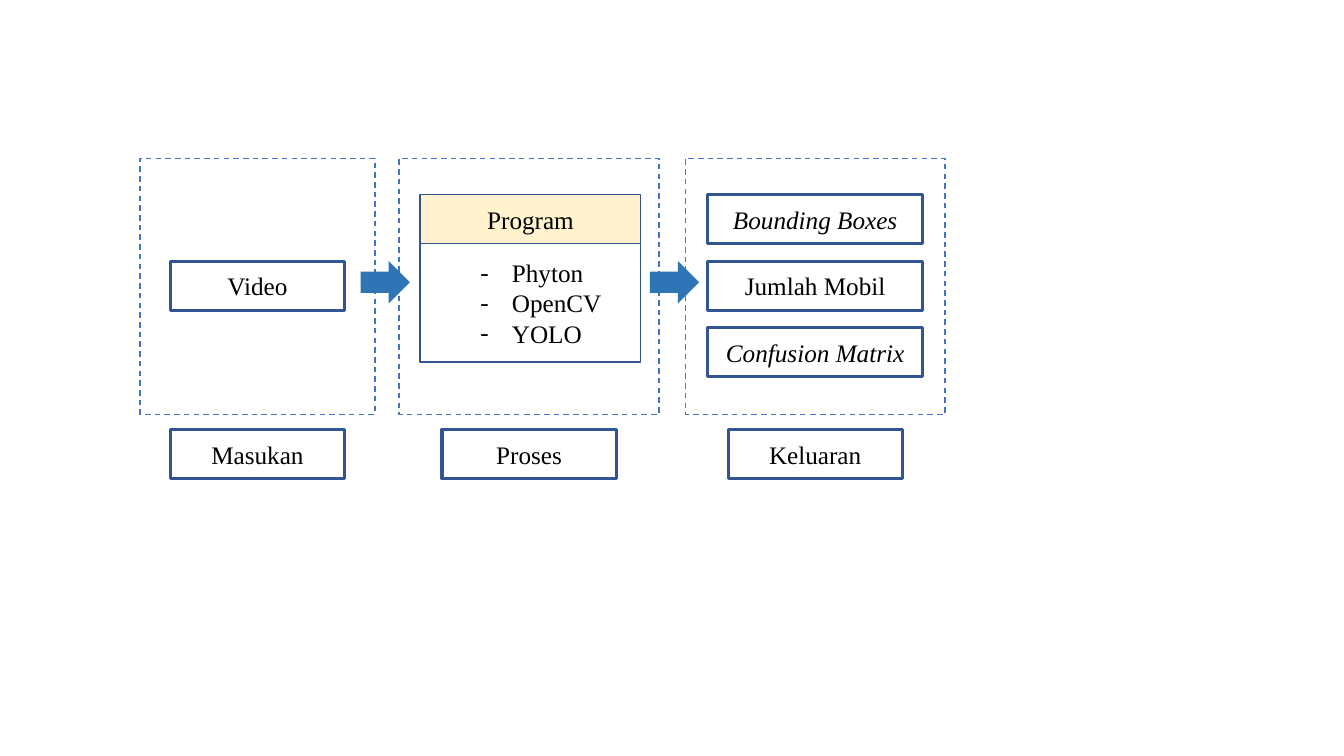
from pptx import Presentation
from pptx.dml.color import RGBColor
from pptx.enum.dml import MSO_LINE
from pptx.enum.shapes import MSO_SHAPE
from pptx.enum.text import MSO_ANCHOR, PP_ALIGN
from pptx.oxml.ns import qn
from pptx.util import Cm, Pt
from lxml.etree import SubElement

NAVY = "325491"
BLUE = "4472C4"
ARROW_BLUE = "2E75B6"
CREAM = "FFF2CC"
WHITE = "FFFFFF"
BLACK = "000000"

PANEL_TOP, PANEL_HEIGHT = 3.99, 6.45
BOX_HEIGHT, ROW_PITCH, FIRST_ROW = 1.24, 1.68, 0.91
LABEL_WIDTH, LABEL_OFFSET = 4.39, 6.83


def color(hex_string):
    return RGBColor.from_string(hex_string)


def add_block(slide, box, fill=None, line=None, width=2.25, kind=MSO_SHAPE.RECTANGLE):
    shape = slide.shapes.add_shape(kind, *[Cm(length) for length in box])
    shape.shadow.inherit = False
    if fill:
        shape.fill.solid()
        shape.fill.fore_color.rgb = color(fill)
    else:
        shape.fill.background()
    if line:
        shape.line.color.rgb = color(line)
        shape.line.width = Pt(width)
    else:
        shape.line.fill.background()
    return shape


def write(shape, lines, bullets=False, italic=False):
    frame = shape.text_frame
    frame.word_wrap = True
    frame.vertical_anchor = MSO_ANCHOR.MIDDLE
    font_format = {"name": "Times New Roman", "size": Pt(18), "italic": italic}
    for index, text in enumerate(lines):
        paragraph = frame.add_paragraph() if index else frame.paragraphs[0]
        paragraph.alignment = PP_ALIGN.LEFT if bullets else PP_ALIGN.CENTER
        run = paragraph.add_run()
        run.text = text
        for name, value in font_format.items():
            setattr(run.font, name, value)
        run.font.color.rgb = color(BLACK)
        if bullets:
            paragraph.level = 1
            properties = paragraph._p.get_or_add_pPr()
            properties.set("marL", str(Cm(2.06)))
            properties.set("indent", str(-Cm(0.79)))
            SubElement(properties, qn("a:buFont"), typeface="Times New Roman")
            SubElement(properties, qn("a:buChar"), char="-")


def add_centered_box(slide, panel, offset, width, text, italic=False):
    left, top, panel_width, _ = panel
    box = (left + (panel_width - width) / 2, top + offset, width, BOX_HEIGHT)
    write(add_block(slide, box, line=NAVY), [text], italic=italic)


def add_panel(slide, panel, label):
    shape = add_block(slide, panel, line=BLUE, width=1)
    shape.line.dash_style = MSO_LINE.DASH
    add_centered_box(slide, panel, LABEL_OFFSET, LABEL_WIDTH, label)


def add_input(slide, panel):
    add_panel(slide, panel, "Masukan")
    add_centered_box(slide, panel, FIRST_ROW + ROW_PITCH, LABEL_WIDTH, "Video")


def add_process(slide, panel):
    add_panel(slide, panel, "Proses")
    left, top, width = panel[0] + 0.53, panel[1] + FIRST_ROW, 5.56
    header = add_block(slide, (left, top, width, BOX_HEIGHT), CREAM, NAVY, 1)
    write(header, ["Program"])
    body = add_block(slide, (left, top + BOX_HEIGHT, width, 2.98), WHITE, NAVY, 1)
    write(body, ["Phyton", "OpenCV", "YOLO"], bullets=True)


def add_output(slide, panel):
    add_panel(slide, panel, "Keluaran")
    results = [("Bounding Boxes", True), ("Jumlah Mobil", False), ("Confusion Matrix", True)]
    for row, (text, italic) in enumerate(results):
        add_centered_box(slide, panel, FIRST_ROW + row * ROW_PITCH, 5.41, text, italic)


def add_arrow(slide, panel, overhang):
    box = (panel[0] - overhang, panel[1] + FIRST_ROW + ROW_PITCH, 1.24, 1.07)
    add_block(slide, box, fill=ARROW_BLUE, kind=MSO_SHAPE.RIGHT_ARROW)


def main():
    presentation = Presentation()
    presentation.slide_width = Cm(33.87)
    presentation.slide_height = Cm(19.05)
    slide = presentation.slides.add_slide(presentation.slide_layouts[6])
    input_panel, process_panel, output_panel = [
        (left, PANEL_TOP, width, PANEL_HEIGHT)
        for left, width in [(3.53, 5.92), (10.06, 6.55), (17.27, 6.55)]
    ]
    add_input(slide, input_panel)
    add_process(slide, process_panel)
    add_output(slide, output_panel)
    add_arrow(slide, process_panel, 0.97)
    add_arrow(slide, output_panel, 0.89)
    presentation.save("out.pptx")


if __name__ == "__main__":
    main()
